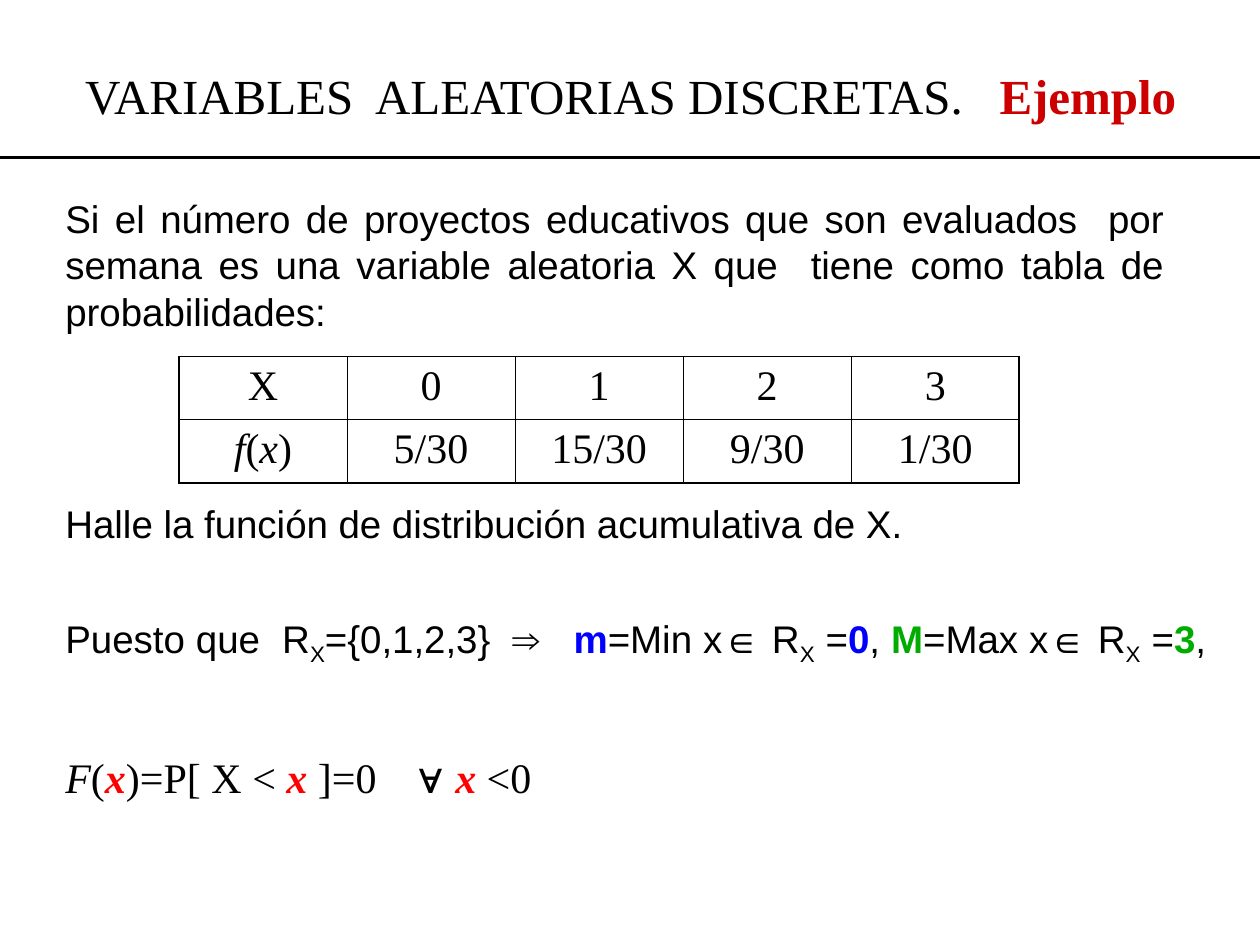
from lxml import etree
from pptx import Presentation
from pptx.dml.color import RGBColor
from pptx.enum.shapes import MSO_CONNECTOR
from pptx.enum.text import MSO_ANCHOR, MSO_AUTO_SIZE, PP_ALIGN
from pptx.oxml.ns import qn
from pptx.util import Inches, Pt

STRAIGHT = MSO_CONNECTOR.STRAIGHT
MIDDLE, TOP = MSO_ANCHOR.MIDDLE, MSO_ANCHOR.TOP
GROW = MSO_AUTO_SIZE.SHAPE_TO_FIT_TEXT
LEFT, CENTER, JUSTIFY = PP_ALIGN.LEFT, PP_ALIGN.CENTER, PP_ALIGN.JUSTIFY

BLACK = RGBColor(0, 0, 0)
CRIMSON = RGBColor(0xCC, 0, 0)
RED = RGBColor(0xFF, 0, 0)
BLUE = RGBColor(0, 0, 0xFF)
GREEN = RGBColor(0, 0xAC, 0)
SANS, SERIF = "Arial", "Times New Roman"
THIN, THICK = 0.45, 1.08

ITALIC = {"italic": True}
SUB = {"sub": True}
MINIMUM = {"color": BLUE, "bold": True}
MAXIMUM = {"color": GREEN, "bold": True}
VARIABLE = {"color": RED, "bold": True, "italic": True}


class SlideWriter:
    """Hold the page and its text style, and add each kind of element."""

    def __init__(self, page):
        self.page = page

    def span(self, para, text, size, font, color=BLACK, bold=False, italic=False, sub=False):
        span = para.add_run()
        span.text = text
        span.font.name = font
        span.font.size = Pt(size)
        span.font.color.rgb = color
        span.font.bold = bold
        span.font.italic = italic
        if sub:
            span.font._element.set("baseline", "-25000")

    def paragraph(self, para, spans, size, font, align, before=0):
        para.alignment = align
        para.space_before = Pt(before)
        for text, style in spans:
            self.span(para, text, size, **{"font": font, **style})

    def title(self, spans, left, top, width, height):
        box = self.page.shapes.title
        box.left, box.top = Inches(left), Inches(top)
        box.width, box.height = Inches(width), Inches(height)
        box.text_frame.vertical_anchor = MIDDLE
        self.paragraph(box.text_frame.paragraphs[0], spans, 28, SERIF, CENTER)

    def text(self, paragraphs, left, top, width, height):
        box = self.page.shapes.add_textbox(
            Inches(left), Inches(top), Inches(width), Inches(height))
        frame = box.text_frame
        frame.word_wrap = True
        frame.auto_size = GROW
        for index, settings in enumerate(paragraphs):
            para = frame.add_paragraph() if index else frame.paragraphs[0]
            self.paragraph(para, *settings)

    def border(self, cell, side, width):
        line = etree.SubElement(cell._tc.get_or_add_tcPr(), qn(f"a:ln{side}"), w=str(Pt(width)))
        fill = etree.SubElement(line, qn("a:solidFill"))
        etree.SubElement(fill, qn("a:srgbClr"), val=str(BLACK))

    def table(self, rows, left, top, width, height):
        table = self.page.shapes.add_table(
            len(rows), len(rows[0]), Inches(left), Inches(top),
            Inches(width), Inches(height)).table
        table.first_row = table.horz_banding = False
        last_row, last_column = len(rows) - 1, len(rows[0]) - 1
        for r, row in enumerate(rows):
            for c, spans in enumerate(row):
                cell = table.cell(r, c)
                outer = {"L": c == 0, "R": c == last_column, "T": False, "B": r == last_row}
                for side, is_outer in outer.items():
                    self.border(cell, side, THICK if is_outer else THIN)
                cell.fill.background()
                cell.margin_left = cell.margin_right = Inches(0.1)
                cell.margin_top = cell.margin_bottom = Inches(0.05)
                cell.vertical_anchor = TOP
                self.paragraph(cell.text_frame.paragraphs[0], spans, 24, SERIF, CENTER)

    def rule(self, left, right, y):
        rule = self.page.shapes.add_connector(
            STRAIGHT, Inches(left), Inches(y), Inches(right), Inches(y))
        rule.line.color.rgb = BLACK
        rule.line.width = Pt(2.25)
        etree.SubElement(rule._element.spPr, qn("a:effectLst"))


def main():
    deck = Presentation()
    deck.slide_width, deck.slide_height = Inches(10), Inches(7.5)
    writer = SlideWriter(deck.slides.add_slide(deck.slide_layouts[5]))

    writer.title([("VARIABLES  ALEATORIAS DISCRETAS.   ", {}),
                  ("Ejemplo", {"color": CRIMSON, "bold": True})], 0.42, 0.25, 9.17, 1)

    statement = ("Si el número de proyectos educativos que son evaluados  por semana es "
                 "una variable aleatoria X que  tiene como tabla de probabilidades:")
    writer.text([([(statement, {})], 22, SANS, JUSTIFY, 8.2)], 0.42, 1.5, 8.92, 1.2)

    values = [[("X", {})]] + [[(x, {})] for x in ("0", "1", "2", "3")]
    chances = [[("f", ITALIC), ("(", {}), ("x", ITALIC), (")", {})]]
    chances += [[(f"{count}/30", {})] for count in (5, 15, 9, 1)]
    writer.table([values, chances], 1.42, 2.83, 6.67, 1)

    task = [("Halle la función de distribución acumulativa de X.", {})]
    extremes = [
        ("Puesto que  R", {}), ("X", SUB), ("={0,1,2,3}  ⇒   ", {}),
        ("m", MINIMUM), ("=Min x∈ R", {}), ("X", SUB), (" =", {}), ("0", MINIMUM),
        (", ", {}), ("M", MAXIMUM), ("=Max x∈ R", {}), ("X", SUB), (" =", {}),
        ("3", MAXIMUM), (", ", {})]
    distribution = [
        ("F", ITALIC), ("(", {}), ("x", VARIABLE), (")=P[ X < ", {}), ("x", VARIABLE),
        (" ]=0    ", {}), ("∀ ", {"font": SANS}), ("x", VARIABLE), (" <0", {})]
    writer.text([(task, 22, SANS, JUSTIFY, 8.2),
                 (extremes, 22, SANS, JUSTIFY, 39),
                 (distribution, 24, SERIF, LEFT, 48.5)], 0.42, 3.92, 9.25, 2.53)

    writer.rule(0, 10, 1.25)
    deck.save("out.pptx")


if __name__ == "__main__":
    main()
